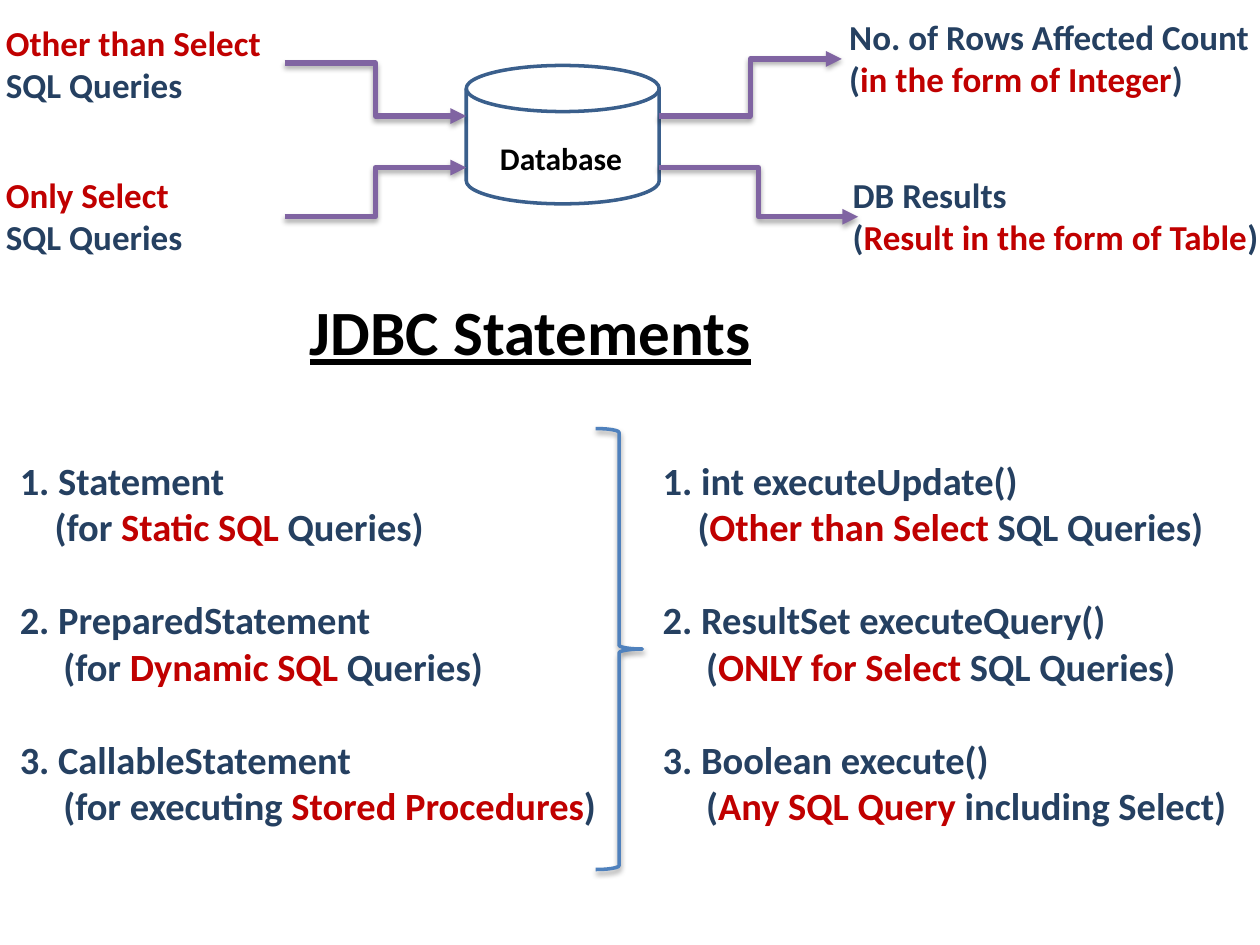
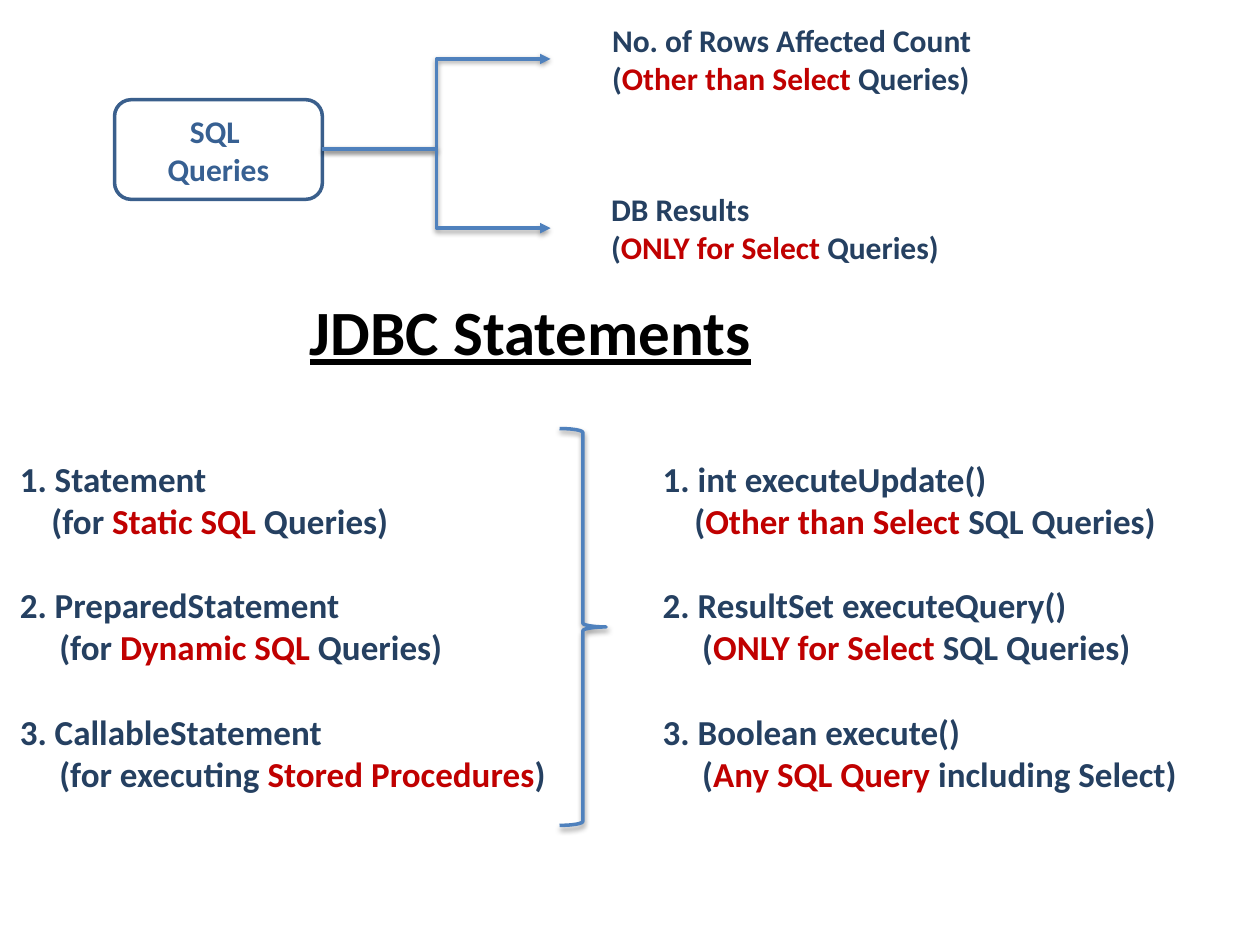
from dataclasses import dataclass

from lxml.etree import SubElement
from pptx import Presentation
from pptx.dml.color import RGBColor
from pptx.enum.shapes import MSO_CONNECTOR, MSO_SHAPE
from pptx.enum.text import MSO_ANCHOR, MSO_AUTO_SIZE, PP_ALIGN
from pptx.oxml.ns import qn
from pptx.util import Cm, Pt

# Shared look
FONT = "Calibri"
NAVY = RGBColor(0x25, 0x40, 0x61)
RED = RGBColor(0xC0, 0x00, 0x00)
BLACK = RGBColor(0x00, 0x00, 0x00)
WHITE = RGBColor(0xFF, 0xFF, 0xFF)
BLUE = RGBColor(0x4F, 0x81, 0xBD)
OUTLINE = RGBColor(0x3A, 0x5F, 0x8C)
BOX_TEXT = RGBColor(0x37, 0x60, 0x92)
PURPLE = RGBColor(0x80, 0x64, 0xA2)
LINE_HEIGHT = 1.22  # of the text size
SPACE_WIDTH = 0.226  # of the text size

# Text between asterisks is red
STATEMENTS = (
    ("1. Statement", "(for *Static SQL* Queries)"),
    ("2. PreparedStatement", "(for *Dynamic SQL* Queries)"),
    ("3. CallableStatement", "(for executing *Stored Procedures*)"),
)
METHODS = (
    ("1. int executeUpdate()", "(*Other than Select* SQL Queries)"),
    ("2. ResultSet executeQuery()", "(*ONLY for Select* SQL Queries)"),
    ("3. Boolean execute()", "(*Any SQL Query* including Select)"),
)


@dataclass
class Box:
    """Place and size in centimetres."""
    left: float
    top: float
    width: float
    height: float

    def lengths(self):
        return Cm(self.left), Cm(self.top), Cm(self.width), Cm(self.height)


@dataclass
class Label:
    box: Box
    lines: tuple
    size: int = 20
    color: RGBColor = NAVY
    underline: bool = False
    wrap: bool = False


@dataclass
class Arrow:
    x1: float
    y1: float
    x2: float
    y2: float
    color: RGBColor
    width: float
    opacity: int
    distance: float


@dataclass
class Lists:
    """The two numbered lists and the brace between them."""
    size: int
    height: float
    left_width: float
    right_width: float
    brace: Box


def add_runs(p, text: str, size: int, color: RGBColor, underline: bool = False) -> None:
    for i, part in enumerate(text.split("*")):
        if not part:
            continue
        r = p.add_run()
        r.text = part
        r.font.name, r.font.size, r.font.bold = FONT, Pt(size), True
        r.font.color.rgb = RED if i % 2 else color
        if underline:
            r.font.underline = True


def add_lines(tf, lines: tuple, size: int, color: RGBColor, underline: bool = False) -> list:
    paragraphs = []
    for i, line in enumerate(lines):
        p = tf.add_paragraph() if i else tf.paragraphs[0]
        add_runs(p, line, size, color, underline)
        paragraphs.append(p)
    return paragraphs


def add_label(s, label: Label) -> list:
    tf = s.shapes.add_textbox(*label.box.lengths()).text_frame
    tf.word_wrap = label.wrap
    tf.auto_size = MSO_AUTO_SIZE.SHAPE_TO_FIT_TEXT
    return add_lines(tf, label.lines, label.size, label.color, label.underline)


def add_shadow(sp, opacity: int, distance: float) -> None:
    spPr = sp._element.spPr
    effects = spPr.find(qn("a:effectLst"))
    if effects is None:
        effects = SubElement(spPr, qn("a:effectLst"))
    shadow = SubElement(effects, qn("a:outerShdw"), blurRad=str(Pt(3.1)),
                        dist=str(Pt(distance)), dir="5400000", rotWithShape="0")
    color = SubElement(shadow, qn("a:srgbClr"), val="000000")
    SubElement(color, qn("a:alpha"), val=str(opacity * 1000))


def add_outline(s, kind: MSO_SHAPE, box: Box, color: RGBColor):
    sp = s.shapes.add_shape(kind, *box.lengths())
    sp.shadow.inherit = False
    sp.fill.background()
    sp.line.color.rgb, sp.line.width = color, Pt(2)
    return sp


def add_arrow(s, arrow: Arrow) -> None:
    ends = (Cm(v) for v in (arrow.x1, arrow.y1, arrow.x2, arrow.y2))
    cx = s.shapes.add_connector(MSO_CONNECTOR.ELBOW, *ends)
    cx.line.color.rgb, cx.line.width = arrow.color, Pt(arrow.width)
    SubElement(cx.line._get_or_add_ln(), qn("a:tailEnd"), type="triangle")
    add_shadow(cx, arrow.opacity, arrow.distance)


def add_numbered(s, items: tuple, box: Box, size: int) -> None:
    lines = tuple(line for item in items for line in item)
    paragraphs = add_label(s, Label(box, lines, size))
    for i, p in enumerate(paragraphs):
        if i % 2:
            spaces = 4 if i == 1 else 5
            pPr = p._p.get_or_add_pPr()
            pPr.set("marL", str(Pt(size * SPACE_WIDTH * spaces)))
            pPr.set("indent", "0")
        elif i:
            p.space_before = Pt(size * LINE_HEIGHT)


def add_statements(s, lists: Lists) -> None:
    """The lower part that both slides share."""
    add_label(s, Label(Box(6, 5.77, 12.19, 1.8), ("JDBC Statements",), 36, BLACK,
                       underline=True, wrap=True))
    columns = ((STATEMENTS, 0.15, lists.left_width), (METHODS, 13.11, lists.right_width))
    for items, left, width in columns:
        add_numbered(s, items, Box(left, 9.09, width, lists.height), lists.size)
    brace = add_outline(s, MSO_SHAPE.RIGHT_BRACE, lists.brace, BLUE)
    add_shadow(brace, 38, 1.6)


def build_database_slide(s) -> None:
    # Database and its caption
    add_outline(s, MSO_SHAPE.FLOWCHART_MAGNETIC_DISK, Box(9.4, 1.32, 3.89, 2.79), OUTLINE)
    # Queries going in, results coming out
    labels = (
        Label(Box(9.83, 2.67, 3, 1.02), ("Database",), 18, BLACK),
        Label(Box(-0.13, 0.3, 5.87, 1.96), ("*Other than Select*", "SQL Queries")),
        Label(Box(-0.13, 3.38, 5.87, 1.96), ("*Only Select*", "SQL Queries"), wrap=True),
        Label(Box(16.87, 0.18, 8.81, 1.96),
              ("No. of Rows Affected Count", "(*in the form of Integer*)")),
        Label(Box(16.94, 3.38, 8.76, 1.96),
              ("DB Results", "(*Result in the form of Table*)")),
    )
    for label in labels:
        add_label(s, label)
    for ends in ((5.74, 4.37, 9.4, 3.38), (5.74, 1.27, 9.4, 2.34),
                 (13.28, 2.34, 16.97, 1.19), (13.28, 3.38, 17.3, 4.37)):
        add_arrow(s, Arrow(*ends, PURPLE, 3, 35, 1.8))
    add_statements(s, Lists(22, 7.77, 12.29, 12.01, Box(12.01, 8.64, 0.94, 8.89)))


def build_queries_slide(s) -> None:
    # Source box
    sp = add_outline(s, MSO_SHAPE.ROUNDED_RECTANGLE, Box(2.31, 2.01, 4.19, 2.01), OUTLINE)
    sp.fill.solid()
    sp.fill.fore_color.rgb = WHITE
    tf = sp.text_frame
    tf.vertical_anchor = MSO_ANCHOR.MIDDLE
    for p in add_lines(tf, ("SQL ", "Queries"), 18, BOX_TEXT):
        p.alignment = PP_ALIGN.CENTER
    # Two outcomes
    for y in (1.19, 4.6):
        add_arrow(s, Arrow(6.5, 3, 11.1, y, BLUE, 2, 38, 1.6))
    add_label(s, Label(Box(12.09, 0.3, 8, 1.8),
                       ("No. of Rows Affected Count", "(*Other than Select* Queries)"), 18))
    add_label(s, Label(Box(12.07, 3.71, 7.19, 1.8),
                       ("DB Results", "(*ONLY for Select* Queries)"), 18))
    add_statements(s, Lists(20, 7.09, 11.2, 10.97, Box(11.28, 8.64, 0.94, 8)))


def main() -> None:
    prs = Presentation()
    prs.slide_width, prs.slide_height = Cm(25.4), Cm(19.05)
    for build in (build_database_slide, build_queries_slide):
        build(prs.slides.add_slide(prs.slide_layouts[6]))
    prs.save("out.pptx")


if __name__ == "__main__":
    main()
